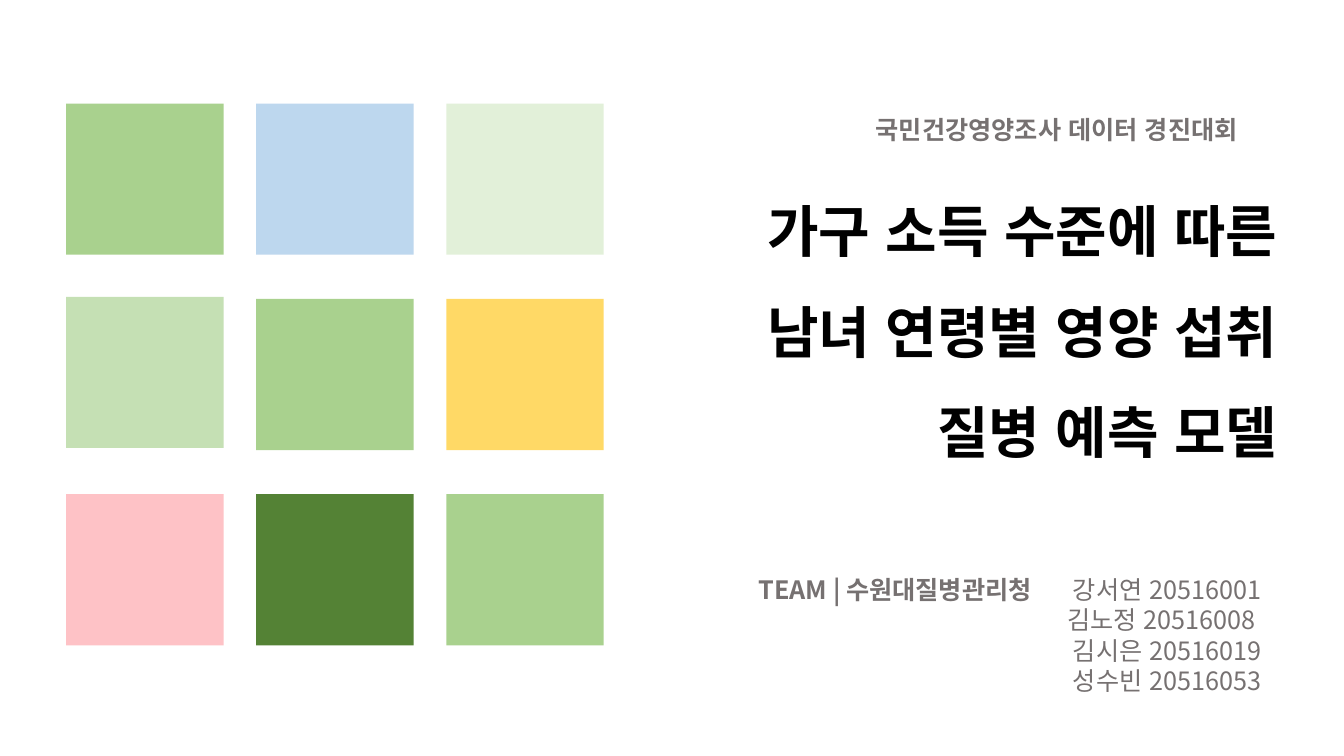
from lxml.etree import SubElement
from pptx import Presentation
from pptx.dml.color import RGBColor
from pptx.enum.lang import MSO_LANGUAGE_ID as Language
from pptx.enum.shapes import MSO_SHAPE as Shape
from pptx.enum.text import MSO_ANCHOR as Anchor, PP_ALIGN as Align
from pptx.oxml.ns import qn
from pptx.util import Pt

FONT = "Noto Sans CJK KR"
COLORS = {
    "green": "A9D18E", "blue": "BDD7EE", "pale": "E2F0D9",
    "mint": "C5E0B4", "yellow": "FFD966", "pink": "FEC2C6",
    "forest": "548235", "black": "000000", "gray": "767171",
}
TILES = [
    ["green", "blue", "pale"],
    ["mint", "green", "yellow"],
    ["pink", "forest", "green"],
]
CONTEST = "국민건강영양조사 데이터 경진대회"
TITLE = ["가구 소득 수준에 따른", "남녀 연령별 영양 섭취", "질병 예측 모델"]
TEAM = "TEAM | 수원대질병관리청"
MEMBERS = ["강서연 20516001", "김노정 20516008 ", "김시은 20516019", "성수빈 20516053"]

GRID_LEFT, GRID_TOP = 47.25, 74
TILE_WIDTH, TILE_HEIGHT = 112.5, 108
COLUMN_STEP, ROW_STEP = 135.75, 139.5
MINT_RISE = 1.5


def add_tile(slide, row, column, color):
    rise = MINT_RISE if color == "mint" else 0
    tile = slide.shapes.add_shape(
        Shape.RECTANGLE,
        Pt(GRID_LEFT + column * COLUMN_STEP), Pt(GRID_TOP + row * ROW_STEP - rise),
        Pt(TILE_WIDTH), Pt(TILE_HEIGHT))
    tile.shadow.inherit = False
    tile.fill.solid()
    tile.fill.fore_color.rgb = RGBColor.from_string(COLORS[color])
    tile.line.fill.background()


def add_text(slide, box, lines, size=18, color="gray", bold=False,
             align=Align.RIGHT, anchor=Anchor.TOP, spacing=1.0):
    """Write each line as one paragraph in a box of left, top, width, height."""
    frame = slide.shapes.add_textbox(*map(Pt, box)).text_frame
    frame.word_wrap = True
    frame.vertical_anchor = anchor
    for index, line in enumerate(lines):
        paragraph = frame.add_paragraph() if index else frame.paragraphs[0]
        paragraph.alignment = align
        paragraph.line_spacing = spacing
        run = paragraph.add_run()
        run.text = line
        run.font.name = FONT
        run.font.size = Pt(size)
        run.font.bold = bold
        run.font.language_id = Language.KOREAN
        run.font.color.rgb = RGBColor.from_string(COLORS[color])
        east_asian = SubElement(run.font._element, qn("a:ea"))
        east_asian.set("typeface", FONT)


def main():
    presentation = Presentation()
    presentation.slide_width, presentation.slide_height = Pt(960), Pt(540)
    slide = presentation.slides.add_slide(presentation.slide_layouts[6])
    for row, colors in enumerate(TILES):
        for column, color in enumerate(colors):
            add_tile(slide, row, column, color)
    add_text(slide, (425.5, 113.75, 494, 221), TITLE, size=40, color="black",
             bold=True, anchor=Anchor.MIDDLE, spacing=1.5)
    add_text(slide, (618.5, 77.75, 320, 29), [CONTEST], bold=True, align=Align.LEFT)
    add_text(slide, (494, 406.75, 250, 29), [TEAM], bold=True)
    add_text(slide, (744, 406.75, 164, 94.5), MEMBERS)
    presentation.save("out.pptx")


if __name__ == "__main__":
    main()
